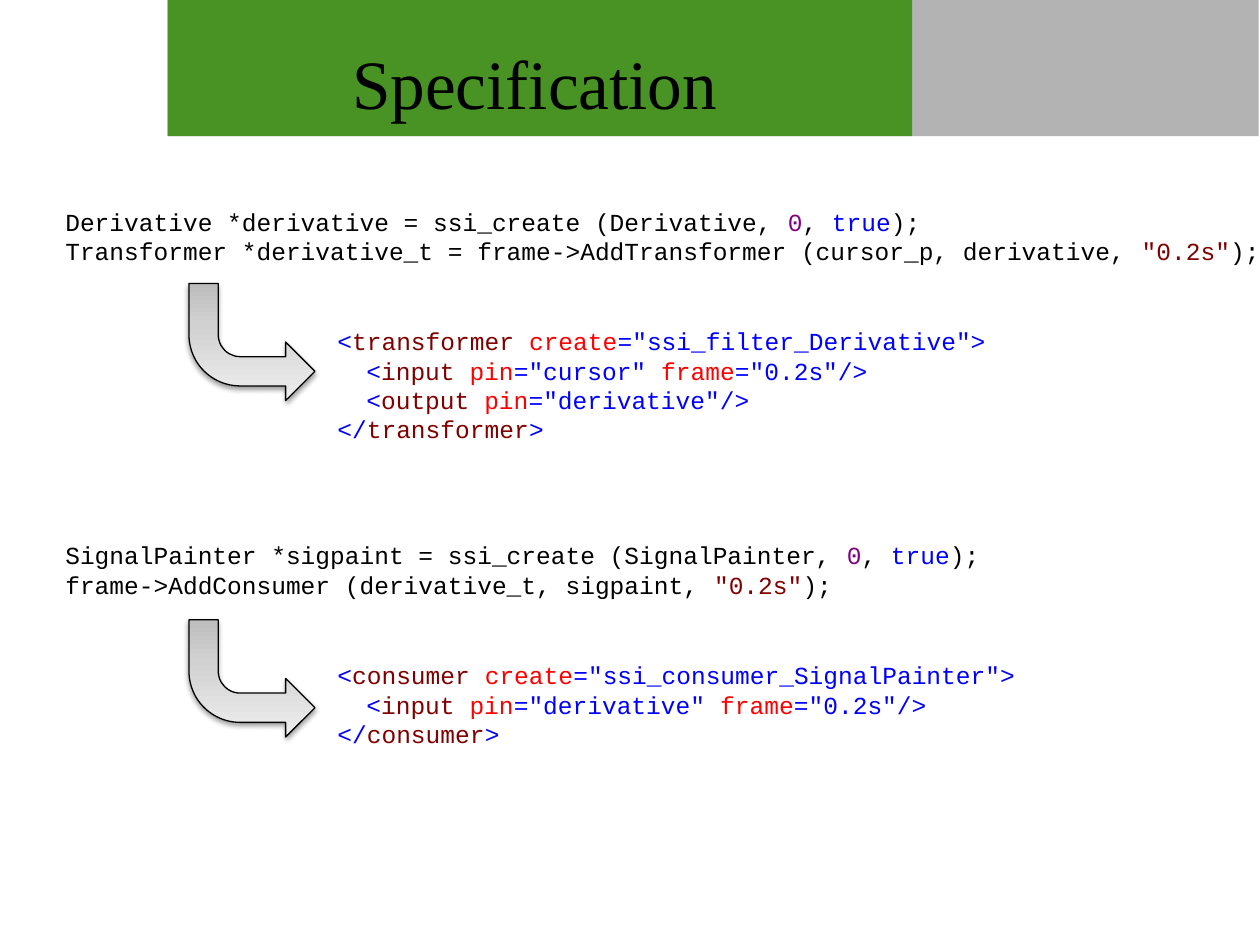
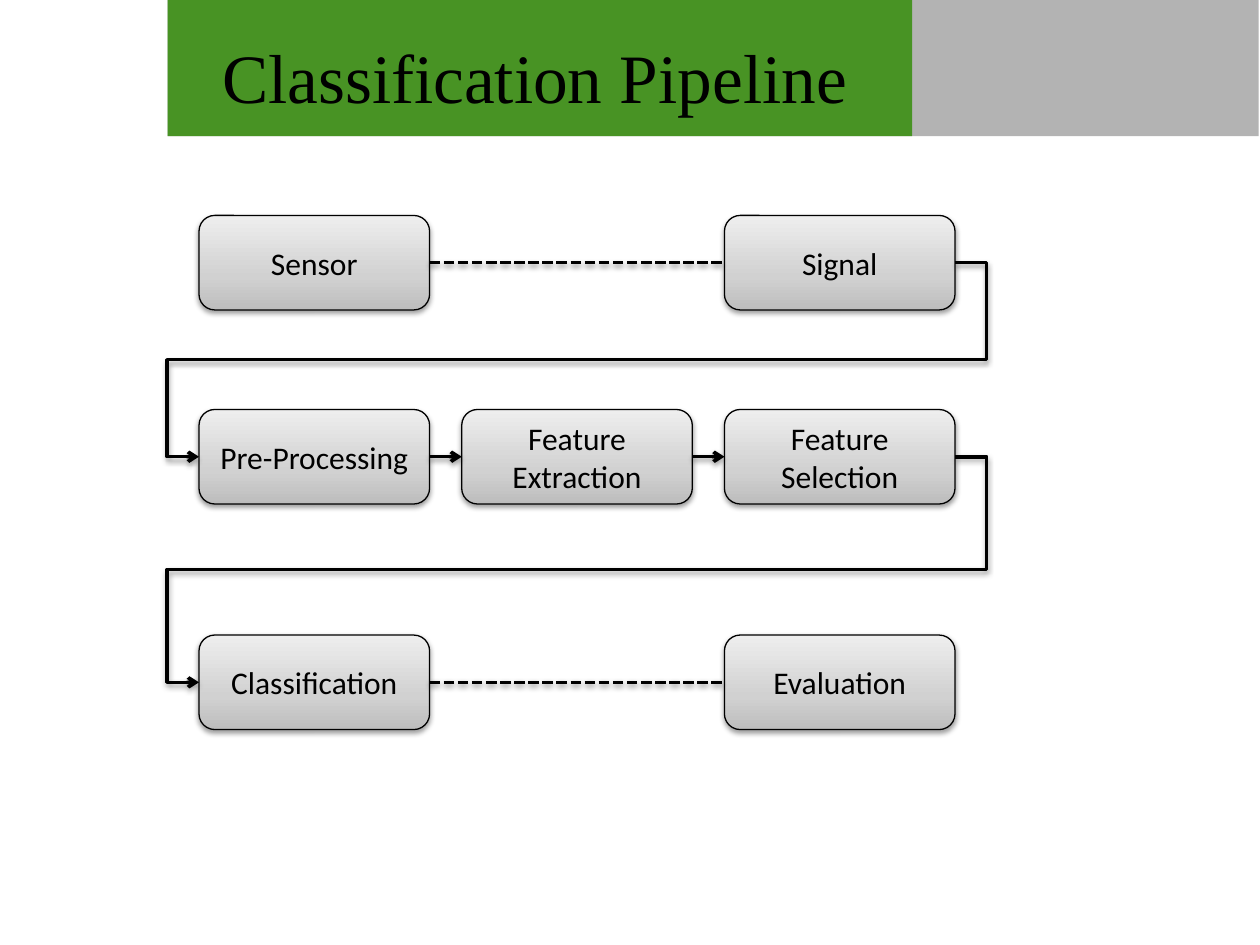
from typing import NamedTuple

from lxml.etree import SubElement
from pptx import Presentation
from pptx.dml.color import RGBColor
from pptx.enum.dml import MSO_LINE
from pptx.enum.shapes import MSO_CONNECTOR, MSO_SHAPE
from pptx.enum.text import MSO_ANCHOR, PP_ALIGN
from pptx.oxml.ns import qn
from pptx.util import Inches, Pt

BLACK, BLUE, RED = "000000", "0000FF", "FF0000"
MAROON, PURPLE = "800000", "800080"
GREEN, GREY = "489324", "B3B3B3"
STOPS = ((0, "BDBDBD"), (35, "D1D1D1"), (100, "EEEEEE"))

# Pipeline grid
LEFT, RIGHT = 1.58, 5.75
STEP = (RIGHT - LEFT) / 2
ROWS = (1.71, 3.25, 5.04)
BOX_W, BOX_H = 1.83, 0.75


class Band(NamedTuple):
    width: float
    fill: str


class Word(NamedTuple):
    text: str
    color: str = BLACK


class Line(NamedTuple):
    words: list[Word]
    inset: float = 0


class Code(NamedTuple):
    left: float
    top: float
    width: float
    height: float
    lines: list[Line]


class Step(NamedTuple):
    text: str
    col: int
    row: int


class Link(NamedTuple):
    start: str
    end: str
    bent: bool = False
    dashed: bool = False


BANDS = (Band(8.66, GREY), Band(5.91, GREEN))


def rgb(value: str) -> RGBColor:
    return RGBColor.from_string(value)


def add(parent, tag: str, **attrs):
    return SubElement(parent, qn(tag), {k: str(v) for k, v in attrs.items()})


# Shared look
def add_shadow(shape) -> None:
    props = shape.element.spPr
    effect = props.find(qn("a:effectLst"))
    if effect is None:
        effect = add(props, "a:effectLst")
    outer = add(effect, "a:outerShdw", blurRad=Pt(3.1), dist=Pt(1.6),
                dir=5400000, rotWithShape=0)
    add(add(outer, "a:srgbClr", val=BLACK), "a:alpha", val=38000)


def add_metal(slide, kind, left: float, top: float, width: float, height: float):
    shape = slide.shapes.add_shape(
        kind, Inches(left), Inches(top), Inches(width), Inches(height))
    shape.shadow.inherit = False
    shape.fill.gradient()
    grad = shape.element.spPr.find(qn("a:gradFill"))
    for child in list(grad):
        grad.remove(child)
    stops = add(grad, "a:gsLst")
    for pos, color in STOPS:
        add(add(stops, "a:gs", pos=pos * 1000), "a:srgbClr", val=color)
    add(grad, "a:lin", ang=16200000, scaled=0)
    grad.set("rotWithShape", "1")
    shape.line.color.rgb = rgb(BLACK)
    shape.line.width = Pt(0.75)
    add_shadow(shape)
    return shape


def add_bands(slide) -> None:
    """Place the header bands on the layout, behind its title."""
    title = slide.slide_layout.placeholders[0]
    for band in BANDS:
        shape = slide.shapes.add_shape(
            MSO_SHAPE.RECTANGLE, Inches(1.33), 0, Inches(band.width), Inches(1.08))
        shape.shadow.inherit = False
        shape.fill.solid()
        shape.fill.fore_color.rgb = rgb(band.fill)
        shape.line.fill.background()
        title.element.addprevious(shape.element)


def set_title(slide, text: str, top: float) -> None:
    title = slide.shapes.title
    title.left, title.top = Inches(1.33), Inches(top)
    title.width, title.height = Inches(5.83), Inches(0.7)
    frame = title.text_frame
    frame.text = text
    frame.vertical_anchor = MSO_ANCHOR.MIDDLE
    para = frame.paragraphs[0]
    para.alignment = PP_ALIGN.CENTER
    para.font.name, para.font.size = "Times New Roman", Pt(39.6)
    para.font.color.rgb = rgb(BLACK)


# Code listings
def tag(name: str, end: str = ">", inset: float = 0, **attrs: str) -> Line:
    words = [Word("<", BLUE), Word(name, MAROON)]
    for key, value in attrs.items():
        words += [Word(f" {key}", RED), Word(f'="{value}"', BLUE)]
    return Line(words + [Word(end, BLUE)], inset)


def leaf(name: str, **attrs: str) -> Line:
    return tag(name, "/>", 0.23, **attrs)


def close(name: str) -> Line:
    return Line([Word("</", BLUE), Word(name, MAROON), Word(">", BLUE)])


def make(text: str) -> Line:
    return Line([Word(f"{text}, "), Word("0", PURPLE), Word(", "),
                 Word("true", BLUE), Word(");")])


def call(text: str) -> Line:
    return Line([Word(f"{text}, "), Word('"0.2s"', MAROON), Word(");")])


def add_code(slide, code: Code) -> None:
    box = slide.shapes.add_textbox(Inches(code.left), Inches(code.top),
                                   Inches(code.width), Inches(code.height))
    frame = box.text_frame
    frame.word_wrap = True
    for i, line in enumerate(code.lines):
        para = frame.add_paragraph() if i else frame.paragraphs[0]
        para.font.name, para.font.size = "Courier New", Pt(14)
        if line.inset:
            para._p.get_or_add_pPr().set("marL", str(Inches(line.inset)))
        for word in line.words:
            run = para.add_run()
            run.text = word.text
            run.font.color.rgb = rgb(word.color)


CODES = (
    Code(0.42, 1.59, 9.92, 0.57, [
        make("Derivative *derivative = ssi_create (Derivative"),
        call("Transformer *derivative_t = frame->AddTransformer (cursor_p, derivative"),
    ]),
    Code(2.58, 2.54, 7, 1.04, [
        tag("transformer", create="ssi_filter_Derivative"),
        leaf("input", pin="cursor", frame="0.2s"),
        leaf("output", pin="derivative"),
        close("transformer"),
    ]),
    Code(0.42, 4.24, 9.92, 0.57, [
        make("SignalPainter *sigpaint = ssi_create (SignalPainter"),
        call("frame->AddConsumer (derivative_t, sigpaint"),
    ]),
    Code(2.58, 5.19, 7, 0.81, [
        tag("consumer", create="ssi_consumer_SignalPainter"),
        leaf("input", pin="derivative", frame="0.2s"),
        close("consumer"),
    ]),
)


# Pipeline
STEPS = (
    Step("Sensor", 0, 0), Step("Signal", 2, 0),
    Step("Pre-Processing", 0, 1), Step("Feature Extraction", 1, 1),
    Step("Feature Selection", 2, 1),
    Step("Classification", 0, 2), Step("Evaluation", 2, 2),
)
LINKS = (
    Link("Sensor", "Signal", dashed=True),
    Link("Signal", "Pre-Processing", bent=True),
    Link("Pre-Processing", "Feature Extraction"),
    Link("Feature Extraction", "Feature Selection"),
    Link("Feature Selection", "Classification", bent=True),
    Link("Classification", "Evaluation", dashed=True),
)


def add_step(slide, step: Step):
    box = add_metal(slide, MSO_SHAPE.ROUNDED_RECTANGLE, LEFT + step.col * STEP,
                    ROWS[step.row], BOX_W, BOX_H)
    frame = box.text_frame
    frame.text = step.text
    frame.word_wrap = True
    frame.vertical_anchor = MSO_ANCHOR.MIDDLE
    para = frame.paragraphs[0]
    para.alignment = PP_ALIGN.CENTER
    para.font.name, para.font.size = "Calibri", Pt(18)
    para.font.color.rgb = rgb(BLACK)
    return box


def add_link(slide, link: Link, boxes: dict) -> None:
    kind = MSO_CONNECTOR.ELBOW if link.bent else MSO_CONNECTOR.STRAIGHT
    wire = slide.shapes.add_connector(kind, 0, 0, 0, 0)
    wire.begin_connect(boxes[link.start], 3)
    wire.end_connect(boxes[link.end], 1)
    wire.line.color.rgb = rgb(BLACK)
    wire.line.width = Pt(2)
    if link.dashed:
        wire.line.dash_style = MSO_LINE.SQUARE_DOT
    else:
        add(wire.element.spPr.find(qn("a:ln")), "a:tailEnd", type="arrow")
    if link.bent:
        geom = wire.element.spPr.find(qn("a:prstGeom"))
        geom.set("prst", "bentConnector5")
        guides = geom.find(qn("a:avLst"))
        for i, value in enumerate((-4200, 50000, 104200), 1):
            add(guides, "a:gd", name=f"adj{i}", fmla=f"val {value}")
    add_shadow(wire)


def main() -> None:
    deck = Presentation()
    deck.slide_width, deck.slide_height = Inches(10), Inches(7.5)
    layout = deck.slide_layouts[5]

    # Specification
    slide = deck.slides.add_slide(layout)
    add_bands(slide)
    set_title(slide, "Specification", 0.3)
    for code in CODES:
        add_code(slide, code)
    for top in (2.25, 4.92):
        arrow = add_metal(slide, MSO_SHAPE.BENT_ARROW, 1.5, top, 1, 0.93)
        arrow.element.spPr.find(qn("a:xfrm")).set("flipV", "1")

    # Classification pipeline
    slide = deck.slides.add_slide(layout)
    set_title(slide, "Classification Pipeline", 0.25)
    boxes = {step.text: add_step(slide, step) for step in STEPS}
    for link in LINKS:
        add_link(slide, link, boxes)

    deck.save("out.pptx")


if __name__ == "__main__":
    main()
